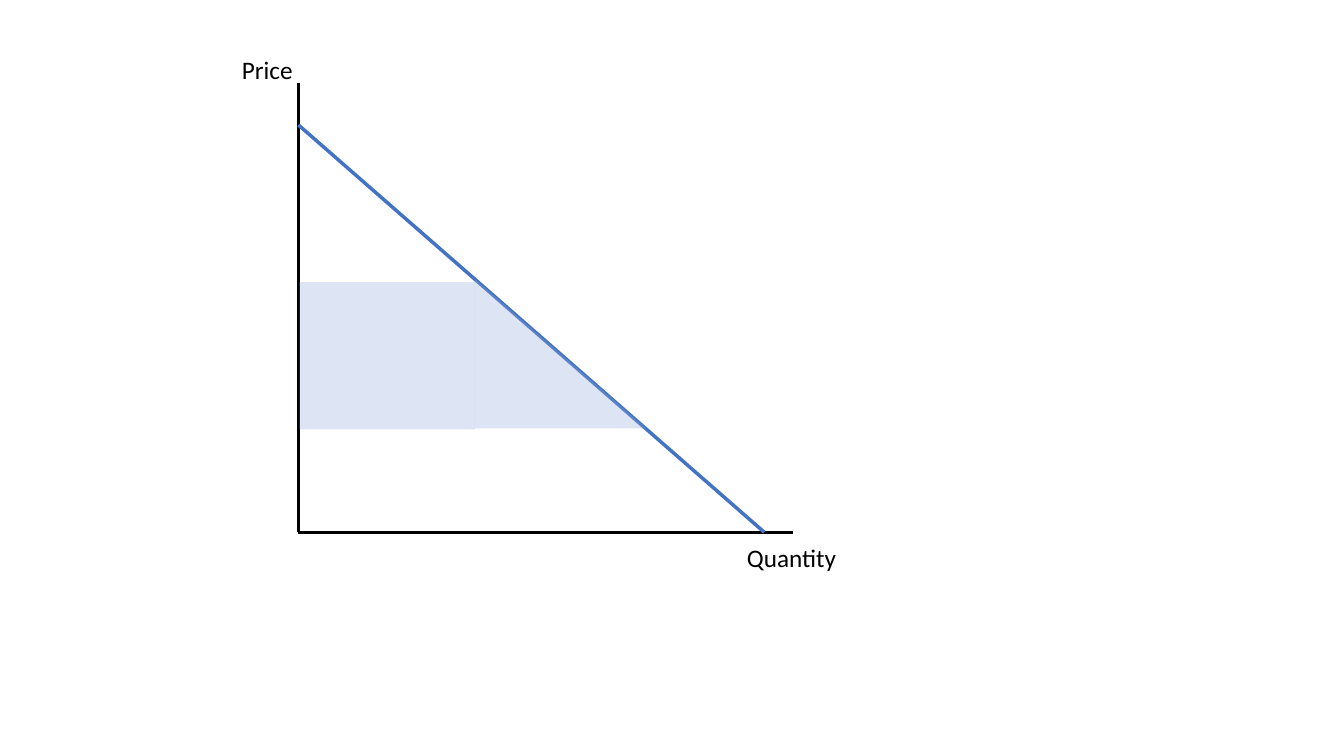
import pptx
import pptx.util
import pptx.dml.color
import pptx.enum.shapes
import pptx.oxml
import pptx.oxml.ns
from lxml import etree

Inches = pptx.util.Inches
RGBColor = pptx.dml.color.RGBColor
Kind = pptx.enum.shapes.MSO_SHAPE

THEME = {
    "axis": RGBColor.from_string("000000"),
    "demand": RGBColor.from_string("4472C4"),
    "surplus": RGBColor.from_string("8FAADC"),
    "surplus_opacity": 30,
    "text": RGBColor.from_string("000000"),
    "font": "Calibri",
    "label_size": 18,
    "axis_width": 2,
    "demand_width": 2.5,
}

presentation = pptx.Presentation()
presentation.slide_width = Inches(13.33)
presentation.slide_height = Inches(7.5)
slide = presentation.slides.add_slide(presentation.slide_layouts[6])

origin_x, origin_y = 2.96, 5.28
curves = [
    (origin_x, 0.82, origin_x, origin_y, "axis"),
    (origin_x, origin_y, 7.87, origin_y, "axis"),
    (origin_x, 1.24, 7.58, origin_y, "demand"),
]
for x1, y1, x2, y2, role in curves:
    curve = slide.shapes.add_connector(
        pptx.enum.shapes.MSO_CONNECTOR.STRAIGHT,
        Inches(x1), Inches(y1), Inches(x2), Inches(y2),
    )
    curve.line.color.rgb = THEME[role]
    curve.line.width = pptx.util.Pt(THEME[role + "_width"])
    etree.SubElement(curve._element.spPr, pptx.oxml.ns.qn("a:effectLst"))

axis_labels = [("Price", 2.3, 0.49, 2.01), ("Quantity", 7.31, 5.33, 1.81)]
for wording, left, top, width in axis_labels:
    axis_label = slide.shapes.add_textbox(
        Inches(left), Inches(top), Inches(width), Inches(0.4)
    )
    axis_label.text_frame.word_wrap = True
    axis_label.text_frame.text = wording
    font = axis_label.text_frame.paragraphs[0].runs[0].font
    font.name = THEME["font"]
    font.size = pptx.util.Pt(THEME["label_size"])
    font.color.rgb = THEME["text"]

surplus_parts = [
    (Kind.RECTANGLE, 2.97, 2.8, 1.74, 1.46),
    (Kind.RIGHT_TRIANGLE, 4.71, 2.77, 1.7, 1.48),
]
for outline, left, top, width, height in surplus_parts:
    surplus = slide.shapes.add_shape(
        outline, Inches(left), Inches(top), Inches(width), Inches(height)
    )
    surplus.shadow.inherit = False
    surplus.line.fill.background()
    surplus.fill.solid()
    surplus.fill.fore_color.rgb = THEME["surplus"]
    tint = surplus._element.spPr.find(".//" + pptx.oxml.ns.qn("a:srgbClr"))
    opacity = etree.SubElement(tint, pptx.oxml.ns.qn("a:alpha"))
    opacity.set("val", str(THEME["surplus_opacity"] * 1000))

presentation.save("out.pptx")
